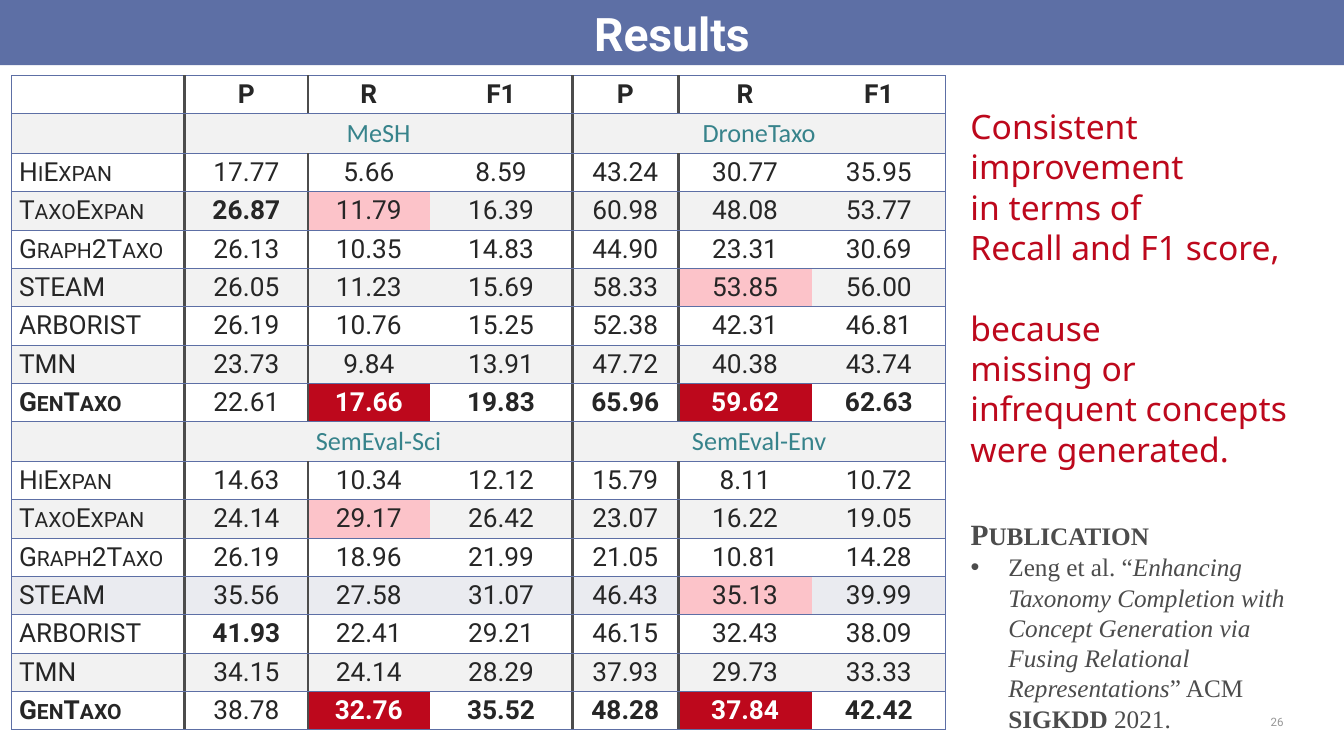
"""Build the results slide: a score table beside a takeaway and its publication."""
from dataclasses import dataclass
from itertools import groupby

from lxml import etree
from pptx import Presentation
from pptx import util as u
from pptx.dml.color import RGBColor
from pptx.enum import text
from pptx.oxml import ns

HEADINGS = ["", "P", "R", "F1", "P", "R", "F1"]
BLOCKS = {
    ("MeSH", "DroneTaxo"): """
        HiExpan 17.77 5.66 8.59 43.24 30.77 35.95
        TaxoExpan *26.87 +11.79 16.39 60.98 48.08 53.77
        Graph2Taxo 26.13 10.35 14.83 44.90 23.31 30.69
        STEAM 26.05 11.23 15.69 58.33 +53.85 56.00
        ARBORIST 26.19 10.76 15.25 52.38 42.31 46.81
        TMN 23.73 9.84 13.91 47.72 40.38 43.74
        *GenTaxo 22.61 !17.66 *19.83 *65.96 !59.62 *62.63""",
    ("SemEval-Sci", "SemEval-Env"): """
        HiExpan 14.63 10.34 12.12 15.79 8.11 10.72
        TaxoExpan 24.14 +29.17 26.42 23.07 16.22 19.05
        Graph2Taxo 26.19 18.96 21.99 21.05 10.81 14.28
        STEAM 35.56 27.58 31.07 46.43 +35.13 39.99
        ARBORIST *41.93 22.41 29.21 46.15 32.43 38.09
        TMN 34.15 24.14 28.29 37.93 29.73 33.33
        *GenTaxo 38.78 !32.76 *35.52 *48.28 !37.84 *42.42""",
}
COLUMN_WIDTHS = [165, 117.4, 115.9, 136, 100.8, 127.4, 127.4]
LILAC_ROW = 13


@dataclass(frozen=True)
class Theme:
    """Colours, fonts and type sizes of the slide."""
    blue: str = "5D6FA5"
    white: str = "FFFFFF"
    ink: str = "262626"
    grey: str = "4C4C4C"
    pale: str = "969696"
    teal: str = "37838B"
    red: str = "BD081C"
    pink: str = "FCC3C9"
    band: str = "F2F2F2"
    lilac: str = "EAEBF0"
    sans: str = "Roboto"
    group: str = "Calibri"
    note: str = "Noto Sans"
    serif: str = "Times New Roman"
    title: float = 44
    takeaway: float = 32
    heading: float = 28
    citation: float = 24
    score: float = 25
    small_cap: float = 20
    number: float = 11
    leading: float = 1.2


class ResultsSlide:
    """Hold the theme and the current slide, and add each kind of element."""

    def __init__(self, theme, width, height):
        """Start a presentation with one title and content slide."""
        self.theme = theme
        self.deck = Presentation()
        self.deck.slide_width, self.deck.slide_height = u.Pt(width), u.Pt(height)
        self.slide = self.deck.slides.add_slide(self.deck.slide_layouts[1])

    def place(self, shape, left, top, width, height):
        """Move and size a shape in points."""
        shape.left, shape.top = u.Pt(left), u.Pt(top)
        shape.width, shape.height = u.Pt(width), u.Pt(height)

    def run(self, paragraph, words, size, color, font, bold=False, italic=False):
        """Append one formatted run to a paragraph."""
        piece = paragraph.add_run()
        piece.text = words
        piece.font.size, piece.font.name = u.Pt(size), font
        piece.font.bold, piece.font.italic = bold, italic
        piece.font.color.rgb = RGBColor.from_string(color)

    def paragraph(self, frame, index, size, before=0):
        """Return the indexed paragraph of a frame with fixed leading."""
        line = frame.add_paragraph() if index else frame.paragraphs[0]
        line.line_spacing = u.Pt(size * self.theme.leading)
        line.space_before = u.Pt(before)
        return line

    def title(self, words, *box):
        """Fill the title placeholder as a coloured bar."""
        t, bar = self.theme, self.slide.shapes.title
        self.place(bar, *box)
        bar.fill.solid()
        bar.fill.fore_color.rgb = RGBColor.from_string(t.blue)
        bar.text_frame.vertical_anchor = text.MSO_ANCHOR.MIDDLE
        heading = bar.text_frame.paragraphs[0]
        heading.alignment = text.PP_ALIGN.CENTER
        self.run(heading, words, t.title, t.white, t.sans, True)

    def takeaway(self, lines, *box):
        """Add the takeaway, each line given with its gap in lines above."""
        t = self.theme
        frame = self.slide.shapes.add_textbox(*map(u.Pt, box)).text_frame
        frame.word_wrap = True
        for index, (words, gap) in enumerate(lines):
            line = self.paragraph(frame, index, t.takeaway, gap * t.takeaway * t.leading)
            self.run(line, words, t.takeaway, t.red, t.note)

    def publication(self, heading, citation, *box):
        """Fill the body placeholder with a small-caps heading and a bullet."""
        t, body = self.theme, self.slide.placeholders[1]
        self.place(body, *box)
        frame = body.text_frame
        frame.auto_size = text.MSO_AUTO_SIZE.NONE
        bullets = [("buNone", {}, 0), ("buChar", {"char": "•"}, 36)]
        sizes = [t.heading, t.citation]
        for index, (tag, mark, indent) in enumerate(bullets):
            line = self.paragraph(frame, index, sizes[index])
            props = line._p.get_or_add_pPr()
            props.set("marL", str(u.Pt(indent)))
            props.set("indent", str(u.Pt(-indent)))
            etree.SubElement(props, ns.qn(f"a:{tag}"), mark)
        first, second = frame.paragraphs
        self.small_caps(first, heading, t.heading, t.citation, t.grey, t.serif, True)
        for words, bold, italic in citation:
            self.run(second, words, t.citation, t.grey, t.serif, bold, italic)

    def small_caps(self, paragraph, name, large, small, color, font, bold):
        """Write lower-case letters of a name as smaller capitals."""
        for lower, letters in groupby(name, str.islower):
            size = small if lower else large
            self.run(paragraph, "".join(letters).upper(), size, color, font, bold)

    def borders(self, cell, **sides):
        """Draw the L, R, T and B borders of a cell from colour and width."""
        props = cell._tc.get_or_add_tcPr()
        for side, (color, width) in sides.items():
            line = etree.SubElement(props, ns.qn(f"a:ln{side}"), w=str(u.Pt(width)))
            if color:
                fill = etree.SubElement(line, ns.qn("a:solidFill"))
                etree.SubElement(fill, ns.qn("a:srgbClr"), val=color)
            else:
                etree.SubElement(line, ns.qn("a:noFill"))

    def cell(self, cell, entry, column, grouped, fill):
        """Write one entry, whose leading mark sets its emphasis."""
        t = self.theme
        mark = entry[:1] if entry[:1] in ("*", "+", "!") else ""
        words, bold = entry[len(mark):], mark in ("*", "!")
        fill = {"+": t.pink, "!": t.red}.get(mark, fill)
        cell.fill.solid()
        cell.fill.fore_color.rgb = RGBColor.from_string(fill)
        line = cell.text_frame.paragraphs[0]
        if column == 0:
            self.small_caps(line, words, t.score, t.small_cap, t.ink, t.sans, bold)
        elif words:
            line.alignment = text.PP_ALIGN.CENTER
            color = t.white if mark == "!" else t.teal if grouped else t.ink
            self.run(line, words, t.score, color, t.group if grouped else t.sans, bold)

    def scores(self, left, top):
        """Add the score table with one group row above each block."""
        t = self.theme
        rows = [(False, [h and f"*{h}" for h in HEADINGS])]
        for (first, second), block in BLOCKS.items():
            rows.append((True, ["", first, "", "", second, "", ""]))
            rows += [(False, line.split()) for line in block.strip().splitlines()]
        heights = [37.7 if grouped else 36.5 for grouped, _ in rows]
        size = map(u.Pt, (left, top, sum(COLUMN_WIDTHS), sum(heights)))
        table = self.slide.shapes.add_table(len(rows), len(HEADINGS), *size).table
        table.first_row = table.horz_banding = False
        for column, width in zip(table.columns, COLUMN_WIDTHS):
            column.width = u.Pt(width)
        thin, thick, bare = (t.blue, 1), (t.grey, 3), (None, 0)
        for r, (grouped, entries) in enumerate(rows):
            table.rows[r].height = u.Pt(heights[r])
            inner = bare if grouped else thick
            edges = [thin, thick, inner, bare, thick, inner, bare, thin]
            fill = t.lilac if r == LILAC_ROW else t.band if r % 2 else t.white
            for c, entry in enumerate(entries):
                cell = table.cell(r, c)
                span = 3 if grouped and entry else 1
                if span > 1:
                    cell.merge(table.cell(r, c + span - 1))
                self.borders(cell, L=edges[c], R=edges[c + span], T=thin, B=thin)
                self.cell(cell, entry, c, grouped, fill)

    def page_number(self, number, *box):
        """Add the slide number."""
        t = self.theme
        frame = self.slide.shapes.add_textbox(*map(u.Pt, box)).text_frame
        frame.word_wrap = True
        frame.vertical_anchor = text.MSO_ANCHOR.MIDDLE
        frame.margin_left = frame.margin_right = u.Pt(11.5)
        frame.paragraphs[0].alignment = text.PP_ALIGN.RIGHT
        self.run(frame.paragraphs[0], number, t.number, t.pale, t.sans)


def main():
    """Compose and save the slide."""
    page = ResultsSlide(Theme(), 1280.16, 720)
    page.title("Results", 0, 0, 1280.16, 62)
    page.scores(11, 72)
    page.takeaway([
        ("Consistent improvement", 0), ("in terms of", 0), ("Recall and F1 score,", 0),
        ("because", 1), ("missing or infrequent concepts were generated.", 0),
    ], 917.3, 97.2, 325.4, 356.4)
    page.publication("Publication", [
        ("Zeng et al. “", False, False),
        ("Enhancing Taxonomy Completion with Concept Generation via Fusing "
         "Relational Representations", False, True),
        ("” ACM ", False, False), ("SIGKDD ", True, False), ("2021.", False, False),
    ], 917.3, 488.2, 346.3, 216)
    page.page_number("26", 1190.2, 678.2, 43.9, 18.7)
    page.deck.save("out.pptx")


if __name__ == "__main__":
    main()
